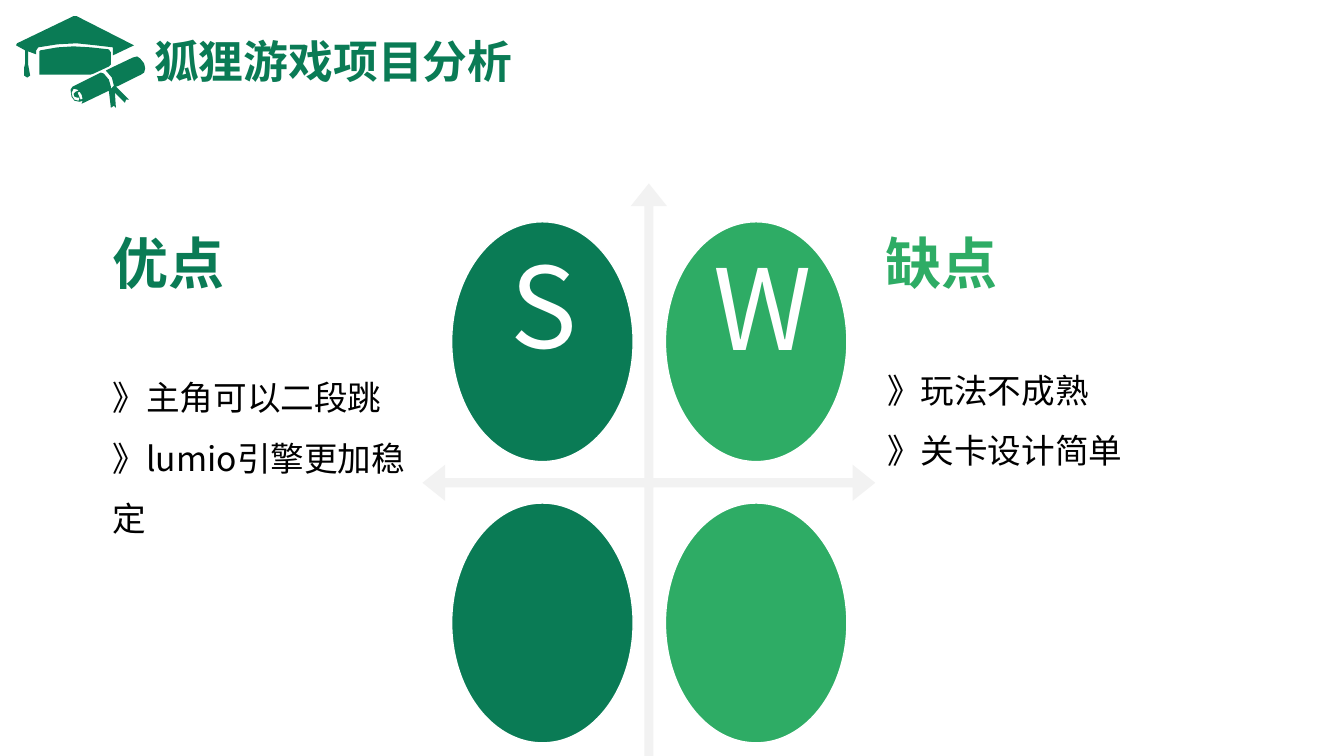
from dataclasses import dataclass

from lxml import etree
from pptx import Presentation
from pptx.dml.color import RGBColor
from pptx.enum.shapes import MSO_SHAPE
from pptx.enum.text import MSO_ANCHOR, PP_ALIGN
from pptx.oxml.ns import qn
from pptx.util import Inches, Pt

ELLIPSE = MSO_SHAPE.OVAL
QUAD_ARROW = MSO_SHAPE.QUAD_ARROW
TOP, MIDDLE = MSO_ANCHOR.TOP, MSO_ANCHOR.MIDDLE
LEFT, CENTER = PP_ALIGN.LEFT, PP_ALIGN.CENTER


@dataclass(frozen=True)
class Theme:
    deep: RGBColor = RGBColor(0x0A, 0x7B, 0x55)
    light: RGBColor = RGBColor(0x2E, 0xAC, 0x65)
    axis: RGBColor = RGBColor(0xF2, 0xF2, 0xF2)
    white: RGBColor = RGBColor(0xFF, 0xFF, 0xFF)
    black: RGBColor = RGBColor(0, 0, 0)
    title_font: str = "Montserrat"
    body_font: str = "Noto Sans CJK SC"
    title_size: int = 32
    heading_size: int = 40
    body_size: int = 24
    letter_size: int = 80


THEME = Theme()

CAP_BOARD = [
    [(112, 55), (112, 47), (95, 45), (76, 43), (57, 44), (38, 47), (36, 50),
     (36, 54), (28, 51), (28, 64), (30, 75), (27, 77), (24, 75), (24, 67),
     (25, 63), (25, 50), (16, 45), (17, 43), (73, 16), (76, 16), (131, 44),
     (133, 45)],
]
CAP_BAND = [
    [(39, 74), (39, 51), (40, 50), (57, 47), (73, 46), (90, 47), (108, 49),
     (110, 52), (110, 64), (108, 66), (93, 73), (90, 74)],
]
DIPLOMA = [
    [(115, 86), (128, 99), (125, 99), (124, 102), (114, 92), (115, 107),
     (113, 105), (110, 107), (108, 90), (81, 103), (82, 100), (79, 101),
     (74, 100), (71, 96), (70, 89), (72, 86), (100, 72), (103, 73), (108, 79),
     (110, 86), (110, 88), (113, 85), (111, 77), (105, 70), (111, 67),
     (132, 57), (136, 56), (139, 58), (143, 63), (144, 68), (143, 72),
     (140, 74), (118, 85)],
    [(79, 97), (77, 97), (74, 96), (73, 93), (75, 91), (78, 90), (77, 89),
     (73, 88), (71, 92), (72, 96), (74, 99), (78, 100)],
    [(80, 99), (82, 98), (81, 94), (79, 91), (77, 92)],
]


def add_outline(slide, contours, color):
    first, *holes = contours
    builder = slide.shapes.build_freeform(*first[0], scale=Inches(0.01))
    builder.add_line_segments(first[1:], close=True)
    for hole in holes:
        builder.move_to(*hole[0])
        builder.add_line_segments(hole[1:], close=True)
    outline = builder.convert_to_shape()
    outline.shadow.inherit = False
    outline.fill.solid()
    outline.fill.fore_color.rgb = color
    outline.line.fill.background()


def add_preset(slide, kind, box, color, border=None):
    preset = slide.shapes.add_shape(kind, *map(Inches, box))
    preset.shadow.inherit = False
    preset.fill.solid()
    preset.fill.fore_color.rgb = color
    if border is None:
        preset.line.fill.background()
    else:
        preset.line.color.rgb = border
        preset.line.width = Pt(1)
    return preset


def add_text(slide, box, lines, size, color, font=THEME.body_font, bold=False,
             align=LEFT, anchor=TOP, spacing=1.0):
    frame = slide.shapes.add_textbox(*map(Inches, box)).text_frame
    frame.word_wrap = True
    frame.vertical_anchor = anchor
    frame.text = "\n".join(lines)
    for paragraph in frame.paragraphs:
        paragraph.alignment = align
        paragraph.line_spacing = spacing
        paragraph.font.name = font
        paragraph.font.size = Pt(size)
        paragraph.font.bold = bold
        paragraph.font.color.rgb = color
        properties = paragraph.font._element
        latin = properties.find(qn("a:latin"))
        east_asian = etree.Element(qn("a:ea"), typeface=font)
        latin.addnext(east_asian)


def add_header(slide):
    for contours in (CAP_BOARD, CAP_BAND, DIPLOMA):
        add_outline(slide, contours, THEME.deep)
    add_text(slide, (1.43, 0.27, 11.5, 0.72), ["狐狸游戏项目分析"],
             THEME.title_size, THEME.deep, font=THEME.title_font, bold=True,
             anchor=MIDDLE, spacing=0.9)


def add_finding(slide, left, heading, color, points, points_box):
    add_text(slide, (left, 2.22, 2.81, 0.77), [heading],
             THEME.heading_size, color, bold=True)
    add_text(slide, points_box, points, THEME.body_size, THEME.black,
             spacing=1.5)


def add_matrix(slide):
    axes = add_preset(slide, QUAD_ARROW, (4.19, 1.82, 4.49, 5.94), THEME.axis)
    for index, ratio in enumerate((0.02, 0.04, 0.05)):
        axes.adjustments[index] = ratio
    for top in (2.2, 4.99):
        for left, color in ((4.48, THEME.deep), (6.6, THEME.light)):
            add_preset(slide, ELLIPSE, (left, top, 1.8, 2.38), color,
                       border=THEME.white)
    for letter, left, top in (("S", 4.88, 2.27), ("W", 6.98, 2.29)):
        add_text(slide, (left, top, 1.02, 1.48), [letter], THEME.letter_size,
                 THEME.white, align=CENTER, anchor=MIDDLE)


def main():
    presentation = Presentation()
    presentation.slide_width = Inches(13.33)
    presentation.slide_height = Inches(7.5)
    slide = presentation.slides.add_slide(presentation.slide_layouts[6])
    add_header(slide)
    add_finding(slide, 1.02, "优点", THEME.deep,
                ["》主角可以二段跳", "》lumio引擎更加稳定"],
                (1.02, 3.49, 3.33, 1.85))
    add_finding(slide, 8.68, "缺点", THEME.light,
                ["》玩法不成熟", "》关卡设计简单"],
                (8.7, 3.42, 3.33, 1.24))
    add_matrix(slide)
    presentation.save("out.pptx")


if __name__ == "__main__":
    main()
